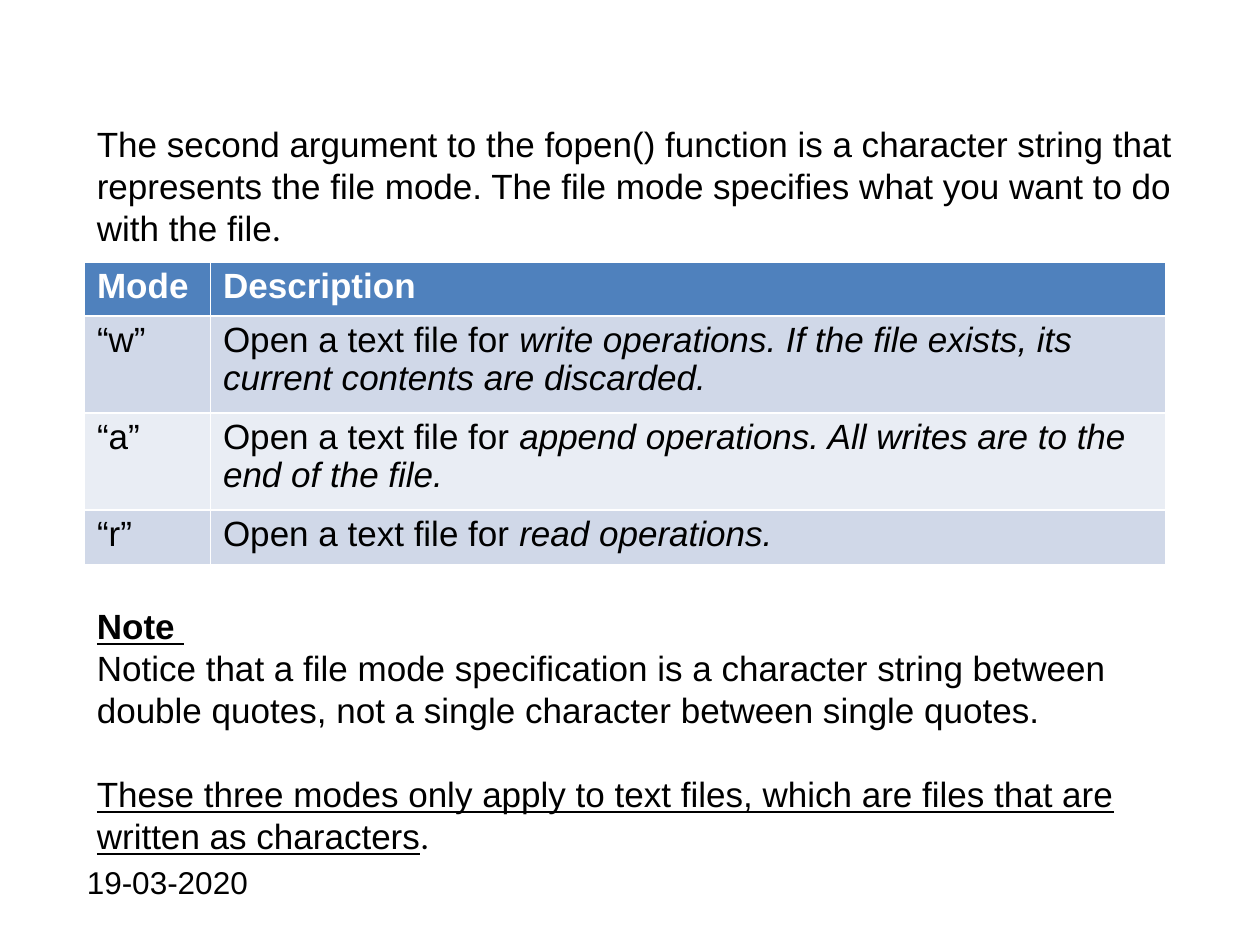
"""Build the slide on fopen() file modes."""
from dataclasses import dataclass

from pptx import Presentation
from pptx import util as u
from pptx.dml.color import RGBColor
from pptx.enum import text

BLACK = RGBColor(0x00, 0x00, 0x00)
WHITE = RGBColor(0xFF, 0xFF, 0xFF)
HEADER = RGBColor(0x4F, 0x81, 0xBD)
BANDS = (RGBColor(0xD0, 0xD8, 0xE8), RGBColor(0xE9, 0xED, 0xF4))
WIDTH, HEIGHT = u.Inches(10), u.Inches(7.5)
LEFT = 0.67
COLUMNS = (1.0, 7.58)
SINGLE_ROW, DOUBLE_ROW = 0.43, 0.77
LINE = u.Pt(24)


@dataclass(frozen=True)
class Span:
    words: str
    font: str = "Arial"
    size: float = 20
    color: RGBColor = BLACK
    bold: bool = False
    italic: bool = False
    underline: bool = False


@dataclass(frozen=True)
class Block:
    left: float
    top: float
    width: float
    height: float
    paragraphs: tuple[tuple[Span, ...], ...]
    spaced: tuple[int, ...] = ()
    grows: bool = True


@dataclass(frozen=True)
class Mode:
    name: str
    action: str
    height: float


STOP = Span(".", font="Calibri")
INTRO = Span("The second argument to the fopen() function is a character string that "
             "represents the file mode. The file mode specifies what you want to do "
             "with the file")
NOTICE = Span("Notice that a file mode specification is a character string between "
              "double quotes, not a single character between single quotes.")
SCOPE = Span("These three modes only apply to text files, which are files that are "
             "written as characters", underline=True)

BLOCKS = (
    Block(LEFT, 0.92, 8.76, 1.11, ((INTRO, STOP),)),
    Block(0.59, 6.77, 1.52, 0.47, ((Span("19-03-2020", size=18),),), grows=False),
    Block(LEFT, 4.75, 8.42, 2.12,
          ((Span("Note ", bold=True, underline=True),), (NOTICE,), (SCOPE, STOP)),
          spaced=(2,)),
)
MODES = (
    Mode("“w”", "write operations. If the file exists, its current contents are discarded.",
         DOUBLE_ROW),
    Mode("“a”", "append operations. All writes are to the end of the file.", DOUBLE_ROW),
    Mode("“r”", "read operations.", SINGLE_ROW),
)


def add_spans(para, spans: tuple[Span, ...]) -> None:
    """Add each span to the paragraph as a run."""
    for span in spans:
        run = para.add_run()
        run.text = span.words
        font = run.font
        font.name, font.size = span.font, u.Pt(span.size)
        font.bold, font.italic, font.underline = span.bold, span.italic, span.underline
        font.color.rgb = span.color


def draw_block(page, block: Block) -> None:
    """Draw one text box with its paragraphs."""
    box = page.shapes.add_textbox(*map(u.Inches, (block.left, block.top,
                                                  block.width, block.height)))
    frame = box.text_frame
    frame.word_wrap = True
    sizing = text.MSO_AUTO_SIZE
    frame.auto_size = sizing.SHAPE_TO_FIT_TEXT if block.grows else sizing.NONE
    for index, spans in enumerate(block.paragraphs):
        para = frame.add_paragraph() if index else frame.paragraphs[0]
        para.line_spacing = LINE
        if index in block.spaced:
            para.space_before = LINE
        add_spans(para, spans)


def draw_modes(page, modes: tuple[Mode, ...]) -> None:
    """Draw the table of file modes."""
    heading = tuple((Span(name, color=WHITE, bold=True),) for name in ("Mode", "Description"))
    rows = [heading] + [
        ((Span(mode.name),),
         (Span("Open a text file for "), Span(mode.action, italic=True)))
        for mode in modes
    ]
    heights = [SINGLE_ROW] + [mode.height for mode in modes]
    table = page.shapes.add_table(
        len(rows), len(COLUMNS), u.Inches(LEFT), u.Inches(2.08),
        u.Inches(sum(COLUMNS)), u.Inches(sum(heights))).table
    for column, width in zip(table.columns, COLUMNS):
        column.width = u.Inches(width)
    for index, (row, height, contents) in enumerate(zip(table.rows, heights, rows)):
        row.height = u.Inches(height)
        for cell, spans in zip(row.cells, contents):
            cell.fill.solid()
            cell.fill.fore_color.rgb = BANDS[(index - 1) % 2] if index else HEADER
            para = cell.text_frame.paragraphs[0]
            para.line_spacing = 0.97
            add_spans(para, spans)


def main() -> None:
    """Build and save the deck."""
    deck = Presentation()
    deck.slide_width, deck.slide_height = WIDTH, HEIGHT
    page = deck.slides.add_slide(deck.slide_layouts[6])
    for block in BLOCKS:
        draw_block(page, block)
    draw_modes(page, MODES)
    deck.save("out.pptx")


if __name__ == "__main__":
    main()
